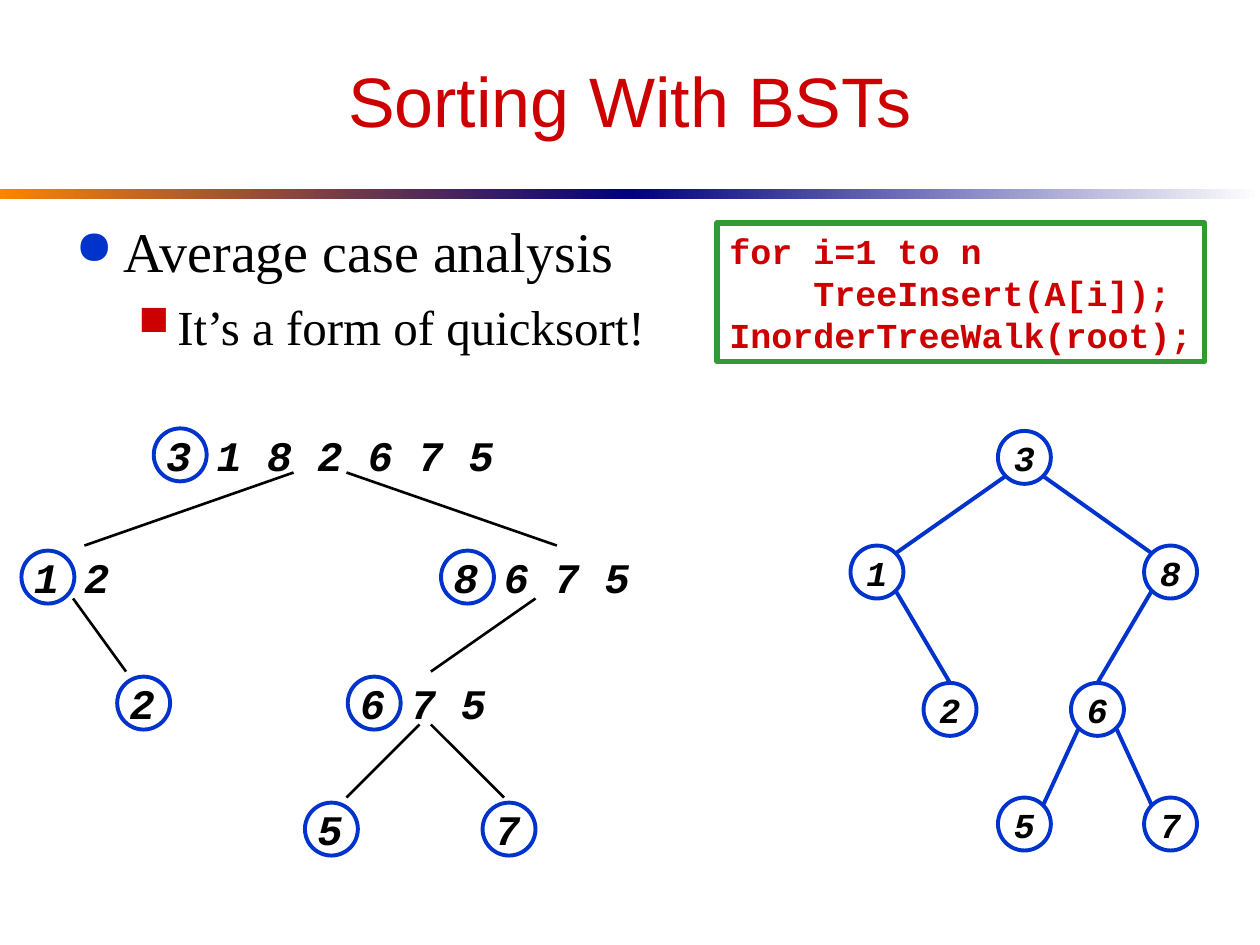
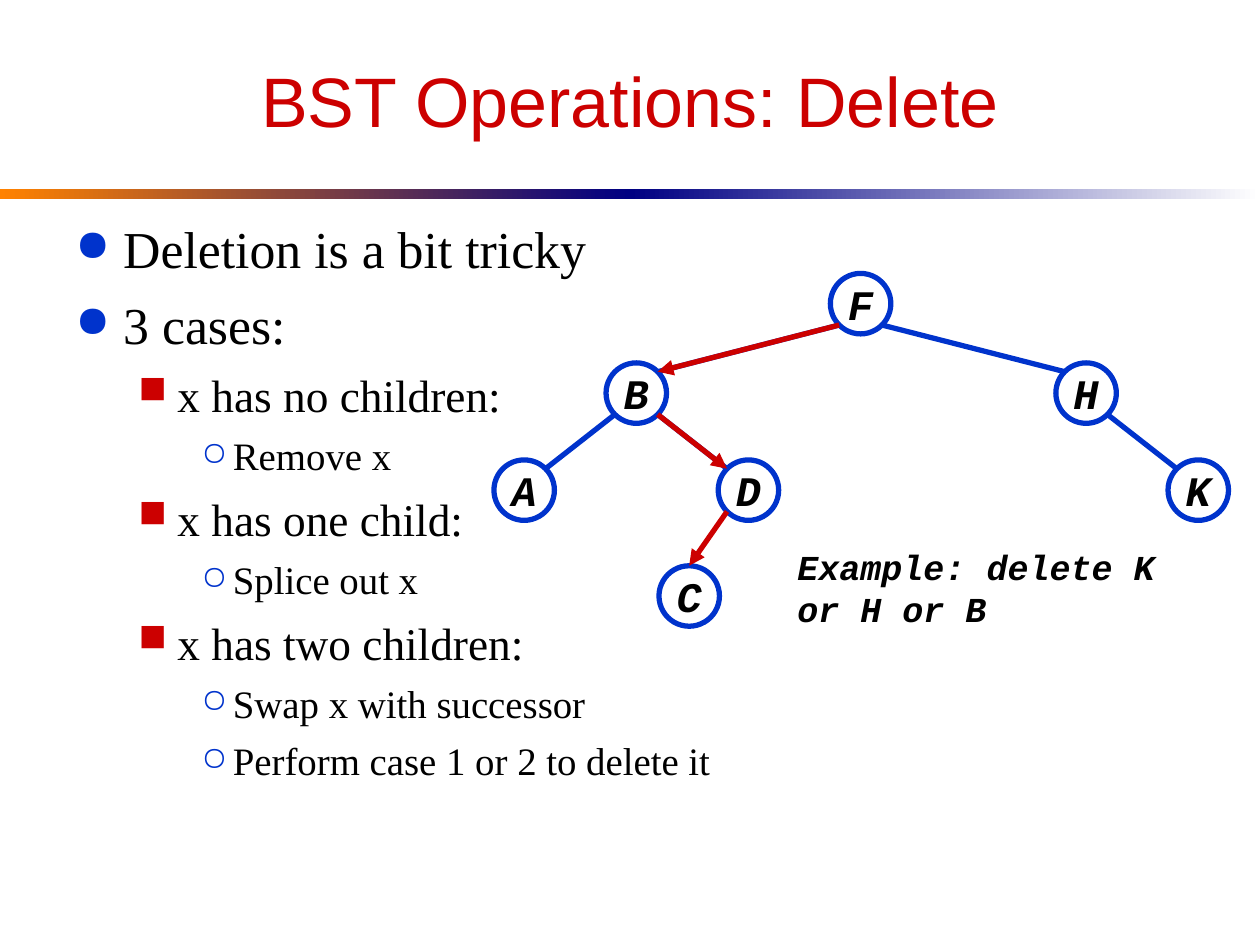
"""Build two slides on binary search trees: sorting and deletion."""
from dataclasses import dataclass

from lxml.etree import SubElement
from pptx import Presentation
from pptx.dml.color import RGBColor
from pptx.enum.shapes import MSO_CONNECTOR, MSO_SHAPE
from pptx.enum.text import MSO_ANCHOR, PP_ALIGN
from pptx.oxml.ns import qn
from pptx.util import Inches, Pt


@dataclass(frozen=True)
class Theme:
    black: str = "000000"
    white: str = "FFFFFF"
    red: str = "CC0000"
    blue: str = "0033CC"
    green: str = "339933"
    navy: str = "000082"
    orange: str = "FF8200"
    head: str = "Arial"
    body: str = "Times New Roman"
    mono: str = "Courier New"
    title: float = 40
    big: float = 24
    small: float = 20
    full: tuple = (32, 28, 24)
    tight: tuple = (29.6, 25.9, 22.2)
    thin: float = 1.5
    mid: float = 2.25
    thick: float = 3


T = Theme()
BANDS = [(0, T.orange, T.navy), (5, T.navy, T.white)]
LEVELS = [
    dict(left=0.38, hang=0.38, before=8, mark="●", color=T.blue),
    dict(left=0.81, hang=0.31, before=7, mark="■", color=T.red),
    dict(left=1.25, hang=0.25, before=6, mark="○", color=T.blue),
]
TITLE = dict(name=T.head, size=T.title, color=T.red)
CODE = dict(name=T.mono, size=T.small, color=T.red, bold=True)
KEY = dict(name=T.mono, size=T.big, color=T.black, bold=True, italic=True)
NOTE = {**KEY, "size": T.small}
MIDDLE = dict(vertical_anchor=MSO_ANCHOR.MIDDLE, word_wrap=False)

SORT = dict(
    title="Sorting With BSTs",
    sizes=T.full,
    points=[(0, "Average case analysis"), (1, "It’s a form of quicksort!")],
)
LOOP = ["for i=1 to n", "    TreeInsert(A[i]);", "InorderTreeWalk(root);"]
SPLITS = [
    (1.22, 3.36, "3 1 8 2 6 7 5"),
    (0.17, 4.33, "1 2"), (3.5, 4.33, "8 6 7 5"),
    (0.93, 5.33, "2"), (2.76, 5.33, "6 7 5"),
    (2.42, 6.33, "5"), (3.83, 6.33, "7"),
]
BRANCHES = [
    (2.33, 3.75, 0.67, 4.33), (2.75, 3.75, 4.42, 4.33),
    (0.58, 4.75, 1, 5.33), (4.25, 4.75, 3.42, 5.33),
    (3.33, 5.75, 2.75, 6.33), (3.42, 5.75, 4, 6.33),
]
SORTED = dict(
    size=0.42, width=T.mid, style=NOTE, fill=None,
    nodes={"3": (7.92, 3.42), "1": (6.75, 4.33), "8": (9.08, 4.33),
           "2": (7.33, 5.42), "6": (8.5, 5.42),
           "5": (7.92, 6.33), "7": (9.08, 6.33)},
    edges=["31", "38", "12", "86", "65", "67"], walk=[], tops="26",
)

DELETE = dict(
    title="BST Operations: Delete",
    sizes=T.tight,
    points=[
        (0, "Deletion is a bit tricky"),
        (0, "3 cases:"),
        (1, "x has no children:"),
        (2, "Remove x"),
        (1, "x has one child:"),
        (2, "Splice out x"),
        (1, "x has two children:"),
        (2, "Swap x with successor"),
        (2, "Perform case 1 or 2 to delete it"),
    ],
)
SAMPLE = dict(
    size=0.48, width=T.thick, style=KEY, fill=T.white,
    nodes={"F": (6.59, 2.17), "B": (4.81, 2.88), "H": (8.38, 2.88),
           "K": (9.27, 3.65), "D": (5.7, 3.65), "A": (3.92, 3.65),
           "C": (5.23, 4.49)},
    edges=["BA", "BD", "FB", "FH", "HK"], walk=["FB", "BD", "DC"], tops="C",
)
TASK = ["Example: delete K", "or H or B"]


def rgb(code):
    return RGBColor.from_string(code)


def write(par, text, style):
    run = par.add_run()
    run.text = text
    for key, value in style.items():
        if key == "color":
            run.font.color.rgb = rgb(value)
        else:
            setattr(run.font, key, Pt(value) if key == "size" else value)


def fill_text(frame, lines, style, align=PP_ALIGN.LEFT, **format):
    for key, value in {**MIDDLE, **format}.items():
        setattr(frame, key, value)
    for row, text in enumerate(lines):
        par = frame.add_paragraph() if row else frame.paragraphs[0]
        par.alignment = align
        write(par, text, style)


def add_text(slide, spot, lines, style, **format):
    box = slide.shapes.add_textbox(*map(Inches, spot))
    fill_text(box.text_frame, lines, style, **format)


def add_shape(slide, kind, spot, line=None, width=0, fill=None):
    shape = slide.shapes.add_shape(kind, *map(Inches, spot))
    shape.shadow.inherit = False
    if fill:
        shape.fill.solid()
        shape.fill.fore_color.rgb = rgb(fill)
    else:
        shape.fill.background()
    if line:
        shape.line.color.rgb = rgb(line)
        shape.line.width = Pt(width)
    else:
        shape.line.fill.background()
    return shape


def add_line(slide, ends, color, width, arrow=False):
    line = slide.shapes.add_connector(MSO_CONNECTOR.STRAIGHT, *map(Inches, ends))
    line.line.color.rgb = rgb(color)
    line.line.width = Pt(width)
    props = line._element.spPr
    if arrow:
        SubElement(props.find(qn("a:ln")), qn("a:tailEnd"), type="triangle")
    SubElement(props, qn("a:effectLst"))
    return line


def add_points(slide, points, sizes):
    box = slide.shapes.add_textbox(*map(Inches, (0.5, 1.67, 9, 4.75)))
    frame = box.text_frame
    frame.word_wrap = True
    for row, (depth, text) in enumerate(points):
        par = frame.add_paragraph() if row else frame.paragraphs[0]
        level = LEVELS[depth]
        par.level = depth
        if row:
            par.space_before = Pt(level["before"])
        props = par._p.get_or_add_pPr()
        props.set("marL", str(Inches(level["left"])))
        props.set("indent", str(-Inches(level["hang"])))
        tint = SubElement(props, qn("a:buClr"))
        SubElement(tint, qn("a:srgbClr"), val=level["color"])
        SubElement(props, qn("a:buSzPct"), val="85000")
        SubElement(props, qn("a:buChar"), char=level["mark"])
        write(par, text, dict(name=T.body, size=sizes[depth], color=T.black))


def add_slide(deck, title, sizes, points):
    slide = deck.slides.add_slide(deck.slide_layouts[6])
    for left, *tints in BANDS:
        band = add_shape(slide, MSO_SHAPE.RECTANGLE, (left, 1.5, 5, 0.08))
        band.fill.gradient()
        band.fill.gradient_angle = 0
        for stop, tint in zip(band.fill.gradient_stops, tints):
            stop.color.rgb = rgb(tint)
    add_text(slide, (0.5, 0.25, 9, 1.08), [title], TITLE,
             align=PP_ALIGN.CENTER, word_wrap=True)
    add_points(slide, points, sizes)
    return slide


def add_tree(slide, size, width, style, fill, nodes, edges, walk, tops):
    rings = {}
    for name, (left, top) in nodes.items():
        ring = add_shape(slide, MSO_SHAPE.OVAL, (left, top, size, size),
                         T.blue, width, fill)
        fill_text(ring.text_frame, [name], style, align=PP_ALIGN.CENTER)
        rings[name] = ring
    half = size / 2
    slant = half * 0.5 ** 0.5
    steps = [(edge, T.blue, False) for edge in edges]
    steps += [(edge, T.red, True) for edge in walk]
    for (start, end), color, arrow in steps:
        x1, y1 = (side + half for side in nodes[start])
        x2, y2 = (side + half for side in nodes[end])
        shift = slant if x2 > x1 else -slant
        ends = (x1 + shift, y1 + slant, x2 - shift, y2 - slant)
        line = add_line(slide, ends, color, width, arrow)
        if end in tops:
            line.end_connect(rings[end], 0)


def add_splits(slide):
    for left, top, keys in SPLITS:
        add_text(slide, (left, top, 0.2 + 0.2 * len(keys), 0.5), [keys], KEY)
        add_shape(slide, MSO_SHAPE.OVAL, (left, top + 0.04, 0.42, 0.42),
                  T.blue, T.mid)
    for ends in BRANCHES:
        add_line(slide, ends, T.black, T.thin)


def main():
    deck = Presentation()
    deck.slide_width, deck.slide_height = Inches(10), Inches(7.5)

    slide = add_slide(deck, **SORT)
    box = add_shape(slide, MSO_SHAPE.RECTANGLE, (5.69, 1.77, 3.87, 1.1),
                    T.green, T.thick)
    fill_text(box.text_frame, LOOP, CODE)
    add_splits(slide)
    add_tree(slide, **SORTED)

    slide = add_slide(deck, **DELETE)
    add_tree(slide, **SAMPLE)
    add_text(slide, (6.23, 4.28, 3.04, 0.77), TASK, NOTE)

    deck.save("out.pptx")


if __name__ == "__main__":
    main()
